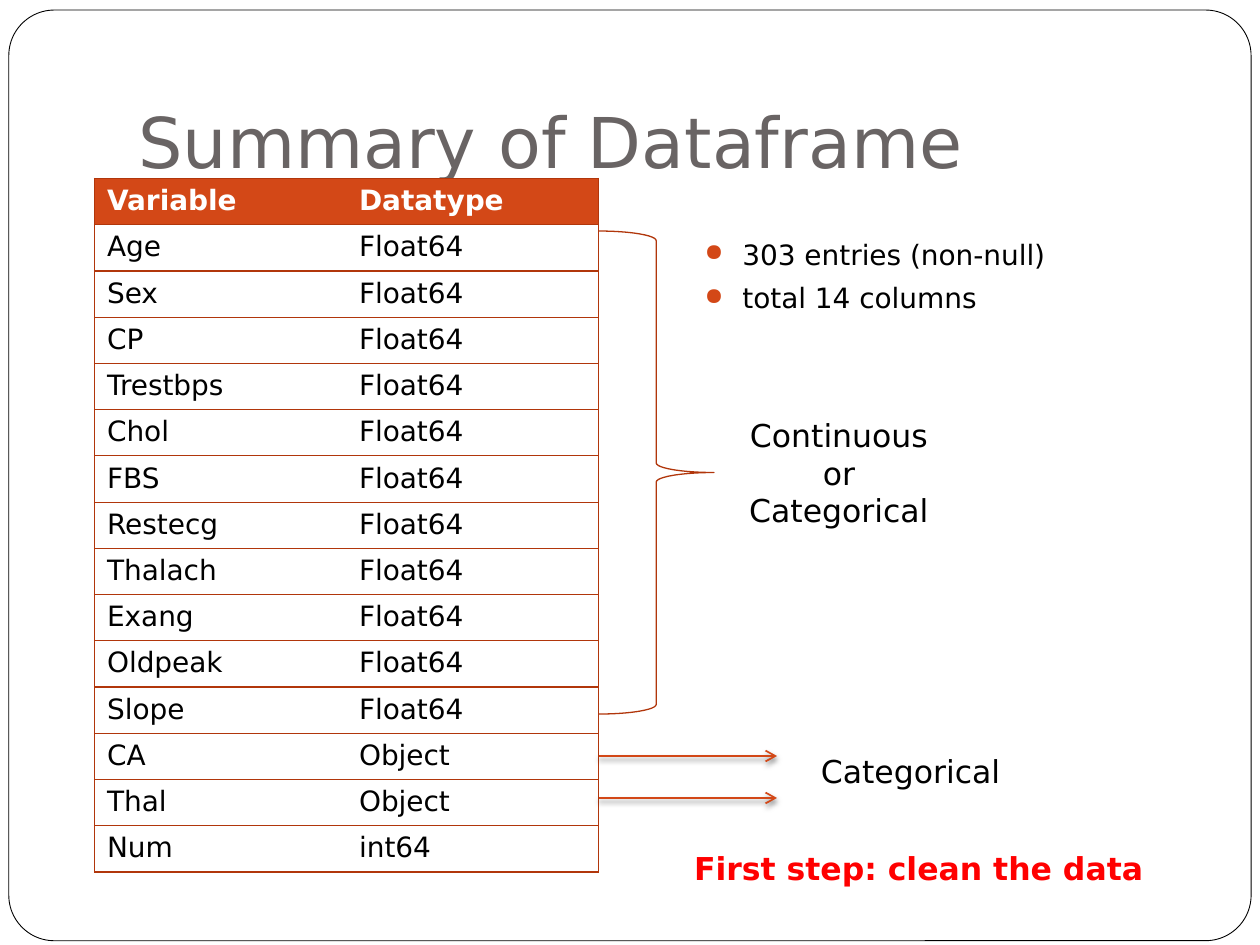
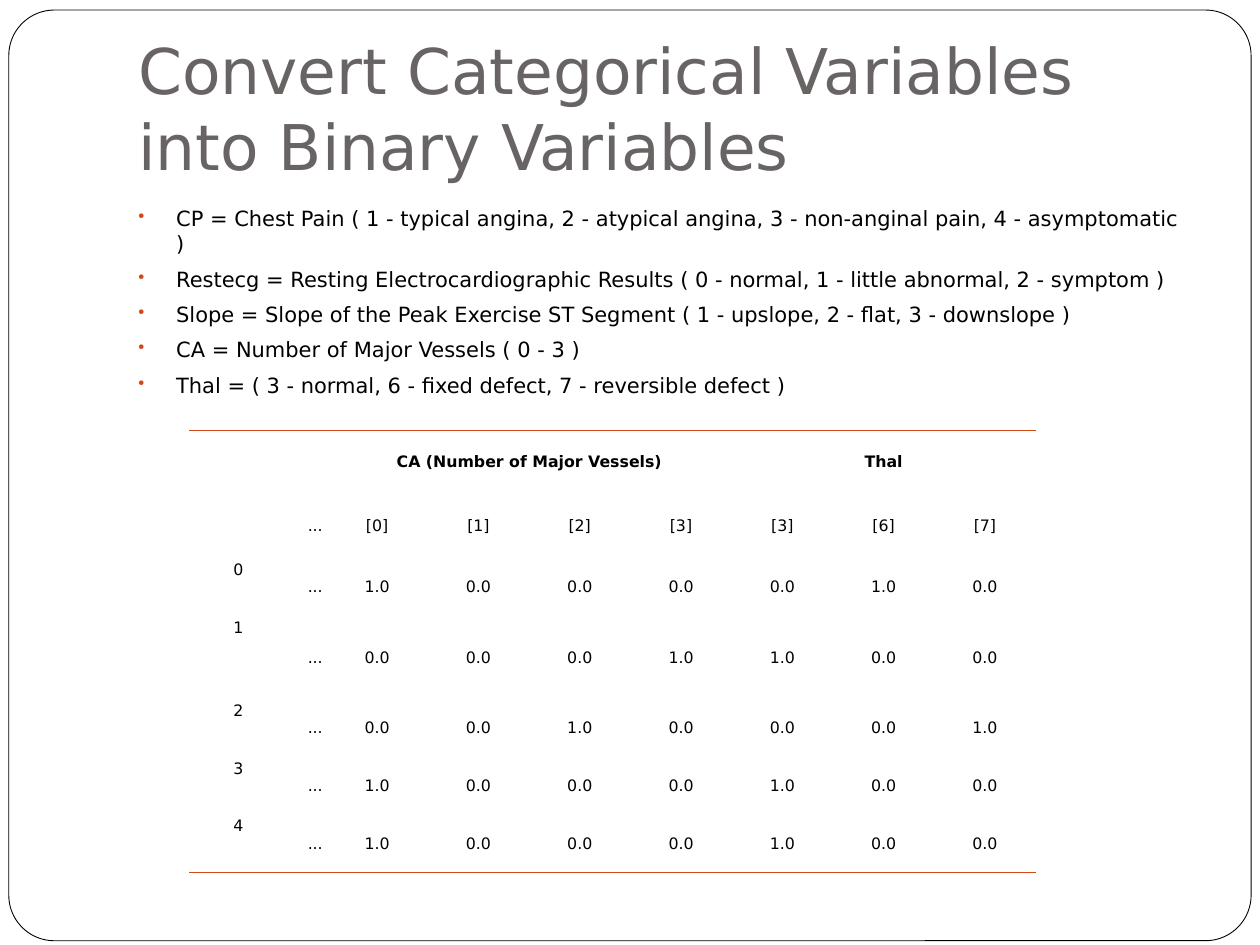
from dataclasses import dataclass

from lxml import etree
from pptx import Presentation
from pptx.dml.color import RGBColor
from pptx.enum.shapes import MSO_CONNECTOR, MSO_SHAPE
from pptx.enum.text import MSO_ANCHOR, PP_ALIGN
from pptx.oxml import parse_xml
from pptx.oxml.ns import qn
from pptx.util import Emu, Inches, Pt

ROUNDED, BRACE = MSO_SHAPE.ROUNDED_RECTANGLE, MSO_SHAPE.RIGHT_BRACE
STRAIGHT = MSO_CONNECTOR.STRAIGHT
LEFT, CENTER, RIGHT = PP_ALIGN.LEFT, PP_ALIGN.CENTER, PP_ALIGN.RIGHT
TOP, MIDDLE, BOTTOM = MSO_ANCHOR.TOP, MSO_ANCHOR.MIDDLE, MSO_ANCHOR.BOTTOM
NAMESPACE = 'xmlns:a="http://schemas.openxmlformats.org/drawingml/2006/main"'
PLAIN_TABLE = "{2D5ABB26-0587-4C30-8999-92F81FD0307C}"


@dataclass(frozen=True)
class Theme:
    font: str = "DejaVu Sans"
    title: str = "696464"
    ink: str = "000000"
    paper: str = "FFFFFF"
    accent: str = "D34817"
    rule: str = "B1360B"
    alert: str = "FF0000"
    callout_size: int = 18
    summary_size: int = 16
    list_size: int = 12
    data_size: int = 9
    bullet_gap: float = 5.8


theme = Theme()
deck = Presentation()
deck.slide_width, deck.slide_height = Inches(10), Inches(7.5)
UNIT = deck.slide_width / 120  # the grid has 120 columns and 90 rows


def grid(*steps):
    return [Emu(round(step * UNIT)) for step in steps]


def write(frame, lines, size, color=theme.ink, bold=False, align=LEFT,
          bullet=None, indent=0):
    frame.word_wrap = True
    frame.text = "\n".join(lines)
    for para in frame.paragraphs:
        para.alignment = align
        for span in para.runs:
            span.font.name, span.font.size, span.font.bold = theme.font, Pt(size), bold
            span.font.color.rgb = RGBColor.from_string(color)
        if bullet:
            para.space_before = Pt(theme.bullet_gap)
            properties = para._p.get_or_add_pPr()
            properties.set("marL", str(Inches(indent)))
            properties.set("indent", str(-Inches(0.3)))
            for mark in (
                f'<a:buClr {NAMESPACE}><a:srgbClr val="{theme.accent}"/></a:buClr>',
                f'<a:buSzPct {NAMESPACE} val="85000"/>',
                f'<a:buChar {NAMESPACE} char="{bullet}"/>',
            ):
                properties.append(parse_xml(mark))


# Shared frame and title
titles = [("Summary of Dataframe", 40),
          ("Convert Categorical Variables into Binary Variables", 36)]
pages = []
for title, title_size in titles:
    page = deck.slides.add_slide(deck.slide_layouts[6])
    border = page.shapes.add_shape(ROUNDED, *grid(0.84, 0.96, 118.32, 88.64))
    border.adjustments[0] = 0.049
    border.shadow.inherit = False
    border.fill.solid()
    border.fill.fore_color.rgb = RGBColor.from_string(theme.paper)
    border.line.color.rgb = RGBColor.from_string(theme.ink)
    border.line.width = Pt(0.5)
    box = page.shapes.add_textbox(*grid(12, 3.6, 102, 15))
    write(box.text_frame, [title], title_size, theme.title)
    box.text_frame.vertical_anchor = BOTTOM
    box.text_frame.margin_bottom = Inches(0.1)
    pages.append(page)
summary_page, binary_page = pages

# Bulleted lists
bullet_lists = [
    (summary_page, (64, 22, 52, 11), theme.summary_size, "●", 0.46,
     ["303 entries (non-null)", "total 14 columns"]),
    (binary_page, (12, 19, 102, 25), theme.list_size, "•", 0.3, [
        "CP = Chest Pain ( 1 - typical angina, 2 - atypical angina, "
        "3 - non-anginal pain, 4 - asymptomatic )",
        "Restecg = Resting Electrocardiographic Results "
        "( 0 - normal, 1 - little abnormal, 2 - symptom )",
        "Slope = Slope of the Peak Exercise ST Segment "
        "( 1 - upslope, 2 - flat, 3 - downslope )",
        "CA = Number of Major Vessels ( 0 - 3 )",
        "Thal = ( 3 - normal, 6 - fixed defect, 7 - reversible defect )",
    ]),
]
for page, area, size, bullet, indent, lines in bullet_lists:
    box = page.shapes.add_textbox(*grid(*area))
    write(box.text_frame, lines, size, bullet=bullet, indent=indent)

# Tables: variables with their types, and the binary columns
float_names = ["Age", "Sex", "CP", "Trestbps", "Chol", "FBS", "Restecg",
               "Thalach", "Exang", "Oldpeak", "Slope"]
variables = [("Variable", "Datatype"), *((name, "Float64") for name in float_names),
             ("CA", "Object"), ("Thal", "Object"), ("Num", "int64")]
binary_rows = [
    ["", "", "CA (Number of Major Vessels)", None, None, None, "Thal", None, None],
    ["", "...", "[0]", "[1]", "[2]", "[3]", "[3]", "[6]", "[7]"],
]
# Category chosen in each record: one of four for CA, one of three for Thal
for record, (vessels, thal) in enumerate([(0, 1), (3, 0), (2, 2), (0, 0), (0, 0)]):
    flags = ["1.0" if column in (vessels, 4 + thal) else "0.0" for column in range(7)]
    binary_rows.append([str(record), "...", *flags])

tables = []
for page, corner, widths, heights in [
    (summary_page, (9, 17), [24] * 2, [66 / len(variables)] * len(variables)),
    (binary_page, (18, 41), [9.4, 3.7] + [9.65] * 7, [6.1, 6.1, 5.5, 7.9] + [5.5] * 3),
]:
    graphic = page.shapes.add_table(len(heights), len(widths),
                                    *grid(*corner, sum(widths), sum(heights)))
    table = graphic.table
    table.first_row = table.horz_banding = False
    graphic.element.find(".//" + qn("a:tableStyleId")).text = PLAIN_TABLE
    for column, width in zip(table.columns, grid(*widths)):
        column.width = width
    for row, height in zip(table.rows, grid(*heights)):
        row.height = height
    tables.append(table)
variable_table, binary_table = tables

edges = []  # cell, sides, colour, width
for row, values in enumerate(variables):
    for column, value in enumerate(values):
        cell = variable_table.cell(row, column)
        if row == 0:
            cell.fill.solid()
            cell.fill.fore_color.rgb = RGBColor.from_string(theme.accent)
        else:
            cell.fill.background()
        write(cell.text_frame, [value], theme.summary_size,
              theme.ink if row else theme.paper, bold=row == 0)
        edges.append((cell, "LTB" if column == 0 else "RTB", theme.rule, 0.75))

binary_table.cell(0, 2).merge(binary_table.cell(0, 5))
binary_table.cell(0, 6).merge(binary_table.cell(0, 8))
last_row = len(binary_rows) - 1
for row, values in enumerate(binary_rows):
    for column, value in enumerate(values):
        cell = binary_table.cell(row, column)
        cell.fill.background()
        cell.margin_left = cell.margin_right = Inches(0.03)
        cell.margin_top = cell.margin_bottom = Inches(0.02)
        cell.vertical_anchor = MIDDLE if column else TOP
        if value:
            write(cell.text_frame, [value], theme.data_size, bold=row == 0,
                  align=RIGHT if column == 1 else CENTER)
        if row in (0, last_row):
            edges.append((cell, "B" if row else "T", theme.accent, 1))

# Cell borders
for cell, sides, color, width in edges:
    properties = cell._tc.get_or_add_tcPr()
    drawn = [side for side in "LRTB" if side in sides]
    for position, side in enumerate(drawn):
        properties.insert(position, parse_xml(
            f'<a:ln{side} {NAMESPACE} w="{Pt(width)}"><a:solidFill>'
            f'<a:srgbClr val="{color}"/></a:solidFill></a:ln{side}>'))

# Arrows from the object columns
for level in (72, 76):
    arrow = summary_page.shapes.add_connector(STRAIGHT, *grid(57, level, 74, level))
    arrow.line.color.rgb = RGBColor.from_string(theme.accent)
    arrow.line.width = Pt(1)
    etree.SubElement(arrow.line._get_or_add_ln(), qn("a:tailEnd"), type="arrow")
    arrow.element.spPr.append(parse_xml(
        f'<a:effectLst {NAMESPACE}><a:outerShdw blurRad="{Pt(3)}" dist="{Pt(2)}" '
        f'dir="5400000" rotWithShape="0"><a:srgbClr val="{theme.ink}">'
        '<a:alpha val="50000"/></a:srgbClr></a:outerShdw></a:effectLst>'))

# Brace around the float columns
brace = summary_page.shapes.add_shape(BRACE, *grid(57, 22, 11, 46))
brace.shadow.inherit = False
brace.fill.background()
brace.line.color.rgb = RGBColor.from_string(theme.rule)
brace.line.width = Pt(0.75)

# Callouts
for area, text, color, bold, align in [
    ((56, 80.3, 63, 4.8), "First step: clean the data", theme.alert, True, CENTER),
    ((77, 71, 21, 4.8), "Categorical", theme.ink, False, LEFT),
    ((68.6, 39, 22.6, 12.1), "Continuous or Categorical", theme.ink, False, CENTER),
]:
    box = summary_page.shapes.add_textbox(*grid(*area))
    write(box.text_frame, [text], theme.callout_size, color, bold, align)

deck.save("out.pptx")
